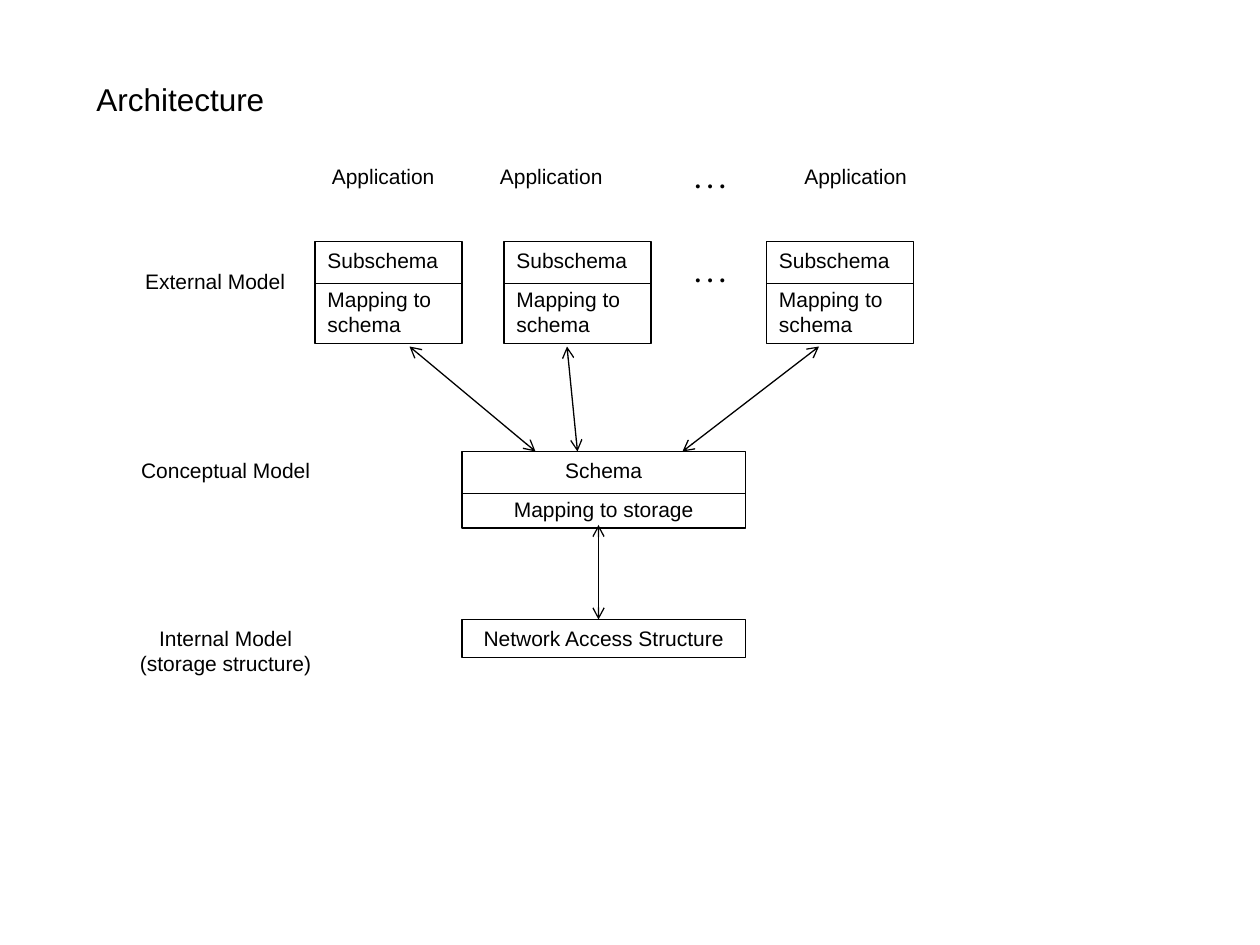
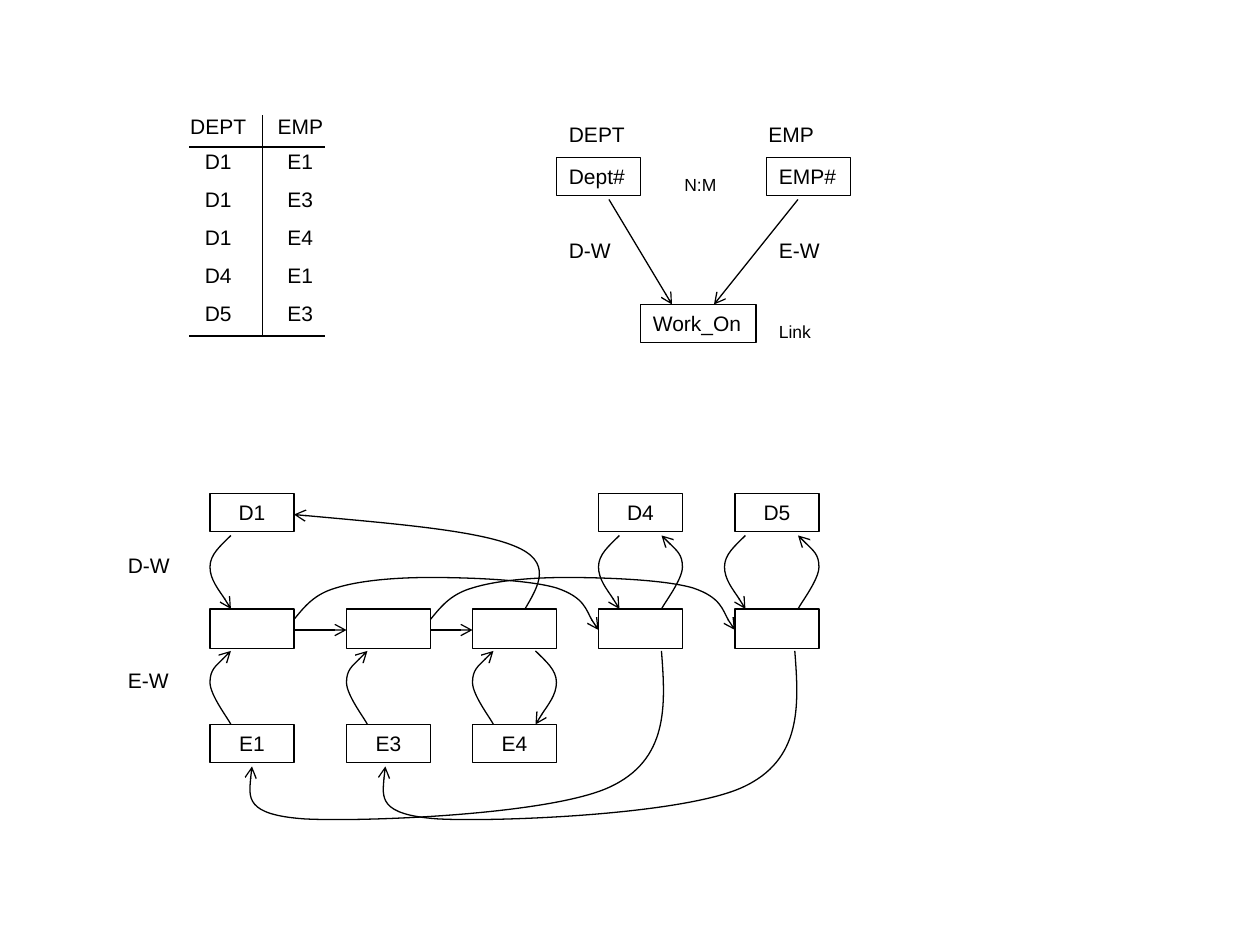
from dataclasses import dataclass

from lxml import etree
from pptx import Presentation
from pptx.dml.color import RGBColor
from pptx.enum.shapes import MSO_CONNECTOR, MSO_SHAPE
from pptx.enum.text import MSO_ANCHOR, PP_ALIGN
from pptx.oxml.ns import qn
from pptx.util import Inches, Pt

RECT = MSO_SHAPE.RECTANGLE
STRAIGHT = MSO_CONNECTOR.STRAIGHT
LEFT, CENTER = PP_ALIGN.LEFT, PP_ALIGN.CENTER
TOP = MSO_ANCHOR.TOP


@dataclass(frozen=True)
class Theme:
    ink: RGBColor = RGBColor(0, 0, 0)
    font: str = "Arial"
    dots_font: str = "Times New Roman"
    title: int = 18
    dots: int = 14
    body: int = 12
    note: int = 10
    rule: float = 0.75
    para_gap: float = 7.5


T = Theme()
COLS, ROWS = 120, 90          # grid cells across and down the slide
CELL = Inches(10) // COLS
LINE_H, PAIR_H = 3.6, 7.3     # rows taken by one boxed line, by two

prs = Presentation()
prs.slide_width, prs.slide_height = COLS * CELL, ROWS * CELL
blank = prs.slide_layouts[6]


def put(s, text, x, y, w, h=LINE_H, size=T.body, font=T.font, bold=False,
        align=LEFT, boxed=False):
    """Place text at grid cells; each line of it becomes a paragraph."""
    area = [round(v * CELL) for v in (x, y, w, h)]
    if boxed:
        sp = s.shapes.add_shape(RECT, *area)
        sp.shadow.inherit = False
        sp.fill.background()
        sp.line.color.rgb = T.ink
        sp.line.width = Pt(T.rule)
    else:
        sp = s.shapes.add_textbox(*area)
    tf = sp.text_frame
    tf.word_wrap = True
    tf.vertical_anchor = TOP
    for i, line in enumerate(text.split("\n")):
        p = tf.add_paragraph() if i else tf.paragraphs[0]
        p.alignment = align
        if i:
            p.space_before = Pt(T.para_gap)
        if line:
            r = p.add_run()
            r.text = line
            r.font.name, r.font.size, r.font.bold = font, Pt(size), bold
            r.font.color.rgb = T.ink


def stroke(s, points, head=False, tail=False):
    """Join two grid points, or draw a Bezier chain through 3n + 1 of them."""
    pts = [(round(x * CELL), round(y * CELL)) for x, y in points]
    if len(pts) == 2:
        sp = s.shapes.add_connector(STRAIGHT, *pts[0], *pts[1])
    else:
        builder = s.shapes.build_freeform(*pts[0])
        builder.add_line_segments(pts[1:], close=False)
        sp = builder.convert_to_shape()
        sp.fill.background()
        segments = list(sp._element.iter(qn("a:lnTo")))
        for i in range(0, len(segments), 3):
            curve = etree.SubElement(segments[i].getparent(), qn("a:cubicBezTo"))
            for seg in segments[i:i + 3]:
                curve.append(seg[0])
                seg.getparent().remove(seg)
    sp.line.color.rgb = T.ink
    sp.line.width = Pt(T.rule)
    spPr = sp._element.spPr
    ln = spPr.find(qn("a:ln"))
    for tag, wanted in (("a:headEnd", head), ("a:tailEnd", tail)):
        if wanted:
            etree.SubElement(ln, qn(tag), type="arrow")
    etree.SubElement(spPr, qn("a:effectLst"))


# Slide 1: architecture
s = prs.slides.add_slide(blank)
put(s, "Architecture", 8, 7, 101, 4.8, size=T.title)

for app_x, sub_x in ((30, 30), (46, 48), (75, 73)):
    put(s, "Application", app_x, 15, 13, align=CENTER)
    put(s, "Subschema\nMapping to schema", sub_x, 23, 14, 9.7, boxed=True)
    stroke(s, [(sub_x, 27), (sub_x + 14, 27)])
for y in (15, 24):
    put(s, ". . .", 65, y, 6, 4, size=T.dots, font=T.dots_font, bold=True)

for text, y, w, h in (("External Model", 25, 17, LINE_H),
                      ("Conceptual Model", 43, 19, LINE_H),
                      ("Internal Model (storage structure)", 59, 19, 6)):
    put(s, text, 12, y, w, h, align=CENTER)

put(s, "Schema\nMapping to storage", 44, 43, 27, PAIR_H, align=CENTER, boxed=True)
stroke(s, [(44, 47), (71, 47)])
put(s, "Network Access Structure", 44, 59, 27, align=CENTER, boxed=True)
for start, end in (((39, 33), (51, 43)), ((54, 33), (55, 43)),
                   ((78, 33), (65, 43)), ((57, 50), (57, 59))):
    stroke(s, [start, end], head=True, tail=True)

# Slide 2: many-to-many link between departments and employees
s = prs.slides.add_slide(blank)
pairs = [("DEPT", "EMP"), ("D1", "E1"), ("D1", "E3"), ("D1", "E4"),
         ("D4", "E1"), ("D5", "E3")]
last = len(pairs) - 1
table = s.shapes.add_table(len(pairs), 2, 18 * CELL, 11 * CELL,
                           13 * CELL, 21 * CELL).table
table.first_row = table.horz_banding = False
table.columns[0].width, table.columns[1].width = 7 * CELL, 6 * CELL
for i, pair in enumerate(pairs):
    table.rows[i].height = round((3.6 if i else 3) * CELL)
    for j, text in enumerate(pair):
        cell = table.cell(i, j)
        cell.fill.background()
        cell.vertical_anchor = TOP
        cell.margin_left = Inches(0.1 if j else 0)
        cell.margin_right = Inches(0 if j else 0.12)
        cell.margin_top = Inches(0.03 if i else 0)
        cell.margin_bottom = 0
        p = cell.text_frame.paragraphs[0]
        p.alignment = CENTER
        r = p.add_run()
        r.text = text
        r.font.name, r.font.size = T.font, Pt(T.body)
        r.font.color.rgb = T.ink
        tcPr = cell._tc.get_or_add_tcPr()
        borders = (("a:lnL", j == 1), ("a:lnR", j == 0),
                   ("a:lnT", i == 1), ("a:lnB", i in (0, last)))
        for k, (tag, drawn) in enumerate(borders):
            ln = etree.Element(qn(tag), w=str(Pt(T.rule)))
            if drawn:
                fill = etree.SubElement(ln, qn("a:solidFill"))
                etree.SubElement(fill, qn("a:srgbClr"), val=str(T.ink))
            else:
                etree.SubElement(ln, qn("a:noFill"))
            tcPr.insert(k, ln)

# Schema diagram
for text, x, y, w in (("Dept#", 53, 15, 8), ("EMP#", 73, 15, 8),
                      ("Work_On", 61, 29, 11)):
    put(s, text, x, y, w, boxed=True)
for text, x, y, w in (("DEPT", 53, 11, 16), ("EMP", 72, 11, 7),
                      ("D-W", 53, 22, 7), ("E-W", 73, 22, 7),
                      ("D-W", 11, 52, 7), ("E-W", 11, 63, 7)):
    put(s, text, x, y, w)
for text, x, y in (("N:M", 64, 16), ("Link", 73, 30)):
    put(s, text, x, y, 7, 3.2, size=T.note)
stroke(s, [(58, 19), (64, 29)], tail=True)
stroke(s, [(76, 19), (68, 29)], tail=True)

# Record chains: departments, link records, employees
D_ROW, LINK_ROW, E_ROW = 47, 58, 69
for x, dept, emp in ((20, "D1", "E1"), (33, "", "E3"), (45, "", "E4"),
                     (57, "D4", ""), (70, "D5", "")):
    for text, y in ((dept, D_ROW), (emp, E_ROW)):
        if text:
            put(s, text, x, y, 8, align=CENTER, boxed=True)
    put(s, "", x, LINK_ROW, 8, 3.75, boxed=True)

# A bow swings out to its edge; side is 1 for a left edge and -1 for a right one
BOW = ((2, 0), (1, 1), (0, 1.8), (0, 3), (0, 4.2), (1.7, 6.4), (2, 7))
DOWN, UP = {"tail": True}, {"head": True}
for edges, y, side, arrow in (((20, 57, 69), 51, 1, DOWN), ((65, 78), 51, -1, UP),
                              ((20, 33, 45), 62, 1, UP), ((53,), 62, -1, DOWN)):
    for edge in edges:
        stroke(s, [(edge + side * dx, y + dy) for dx, dy in BOW], **arrow)

stroke(s, [(28, 60), (33, 60)], tail=True)
stroke(s, [(41, 60), (45, 60)], tail=True)
stroke(s, [(50, 58), (51.3, 55.8), (52.7, 53.5), (49, 52),
           (45.4, 50.5), (36.7, 49.8), (28, 49)], tail=True)

SKIP = ((0, 59), (1, 57.8), (1.9, 56.6), (4, 56), (6.2, 55.3), (9.6, 55), (13, 55),
        (16.5, 55), (22.3, 55.2), (25, 56), (27.7, 56.9), (28.3, 59.3), (29, 60))
RETURN = ((39, 62), (39.4, 67.2), (39.7, 72.4), (34, 75), (28.3, 77.6),
          (10.7, 78.3), (5, 78), (-0.7, 77.6), (-0.3, 75.3), (0, 73))
for shape, starts in ((SKIP, (28, 41)), (RETURN, (24, 36.7))):
    for x in starts:
        stroke(s, [(x + dx, y) for dx, y in shape], tail=True)

prs.save("out.pptx")
